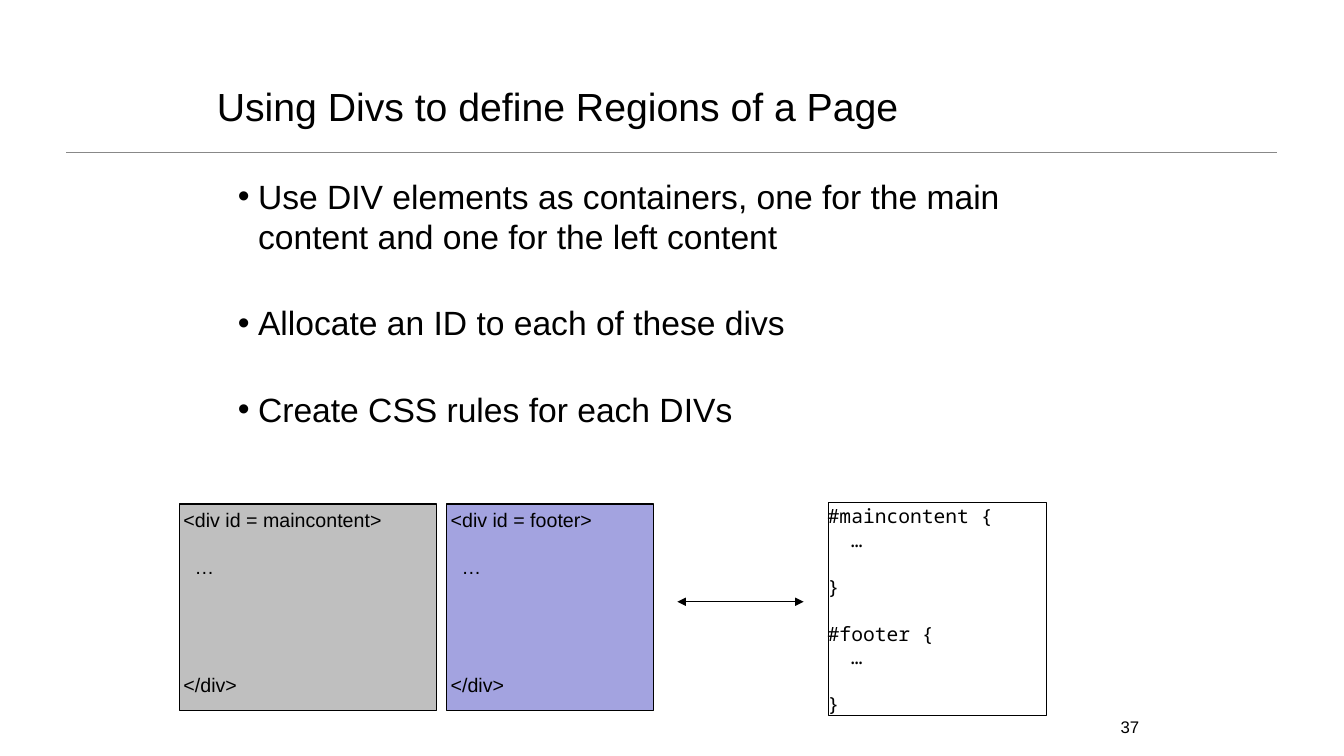
from dataclasses import dataclass

from lxml import etree
from pptx import Presentation
from pptx.dml.color import RGBColor
from pptx.enum import shapes, text
from pptx.oxml import ns
from pptx.util import Inches, Pt

WIDTH, HEIGHT = Inches(13.33), Inches(7.5)


@dataclass(frozen=True)
class Theme:
    ink: str = "000000"
    rule: str = "888888"
    grey: str = "BFBFBF"
    violet: str = "A3A3E0"
    paper: str = "FFFFFF"
    sans: str = "Arial"
    mono: str = "Noto Sans Mono"
    title: int = 28
    body: int = 24
    code: int = 14
    number: int = 12
    leading: float = 1.2  # line pitch as a multiple of the type size
    inset: float = 0.04


THEME = Theme()


def across(percent):
    return int(WIDTH * percent / 100)


def down(percent):
    return int(HEIGHT * percent / 100)


def area(left, top, width, height):
    """Turn percentages of the slide into a frame."""
    return across(left), down(top), across(width), down(height)


def place(shape, frame):
    shape.left, shape.top, shape.width, shape.height = frame


def set_frame(frame, inset=THEME.inset, anchor=text.MSO_ANCHOR.TOP, wrap=True):
    frame.margin_left = frame.margin_right = Inches(inset)
    frame.margin_top = frame.margin_bottom = Inches(inset)
    frame.vertical_anchor = anchor
    frame.word_wrap = wrap
    frame.auto_size = text.MSO_AUTO_SIZE.NONE


def write_lines(frame, lines, size, face=THEME.sans, align=text.PP_ALIGN.LEFT):
    """Write one paragraph per line and return the paragraphs."""
    frame.text = "\n".join(lines)
    for para in frame.paragraphs:
        para.alignment = align
        para.line_spacing = Pt(round(size * THEME.leading, 1))
        para.space_before = para.space_after = Pt(0)
        para.font.size = Pt(size)
        para.font.name = face
        para.font.color.rgb = RGBColor.from_string(THEME.ink)
    return frame.paragraphs


def write_code(frame, rows, face, indent):
    """Each row is (words, lines skipped above, indented or not)."""
    paras = write_lines(frame, [row[0] for row in rows], THEME.code, face)
    for para, (_, skipped, indented) in zip(paras, rows):
        para.space_before = Pt(round(skipped * THEME.code * THEME.leading, 1))
        if indented:
            para._p.get_or_add_pPr().set("marL", str(Inches(indent)))


def add_panel(parent, frame, fill, weight):
    panel = parent.add_shape(shapes.MSO_SHAPE.RECTANGLE, *frame)
    panel.shadow.inherit = False
    panel.fill.solid()
    panel.fill.fore_color.rgb = RGBColor.from_string(fill)
    panel.line.color.rgb = RGBColor.from_string(THEME.ink)
    panel.line.width = Pt(weight)
    return panel


def add_div(page, frame, name, fill):
    """A coloured region with its opening and closing tags."""
    group = page.shapes.add_group_shape()
    add_panel(group.shapes, frame, fill, 1)
    box = group.shapes.add_textbox(*frame)
    set_frame(box.text_frame)
    rows = [(f"<div id = {name}>", 0, False), ("…", 1, True), ("</div>", 4, False)]
    write_code(box.text_frame, rows, THEME.sans, 0.11)


def add_line(page, start, end, colour, weight, arrows=False):
    line = page.shapes.add_connector(
        shapes.MSO_CONNECTOR.STRAIGHT,
        across(start[0]), down(start[1]), across(end[0]), down(end[1]))
    line.line.color.rgb = RGBColor.from_string(colour)
    line.line.width = Pt(weight)
    if arrows:
        outline = line.line._get_or_add_ln()
        for tip in ("a:headEnd", "a:tailEnd"):
            etree.SubElement(outline, ns.qn(tip), type="triangle")
    etree.SubElement(line._element.spPr, ns.qn("a:effectLst"))


def fill_title(page, words):
    title = page.shapes.title
    place(title, area(15.83, 3.33, 68.42, 14.27))
    set_frame(title.text_frame, anchor=text.MSO_ANCHOR.BOTTOM)
    write_lines(title.text_frame, [words], THEME.title)


def fill_bullets(page, items):
    body = page.placeholders[1]
    place(body, area(17.4, 22.67, 65.94, 38.93))
    set_frame(body.text_frame)
    for para in write_lines(body.text_frame, items, THEME.body):
        para.space_before = Pt(33)
        properties = para._p.get_or_add_pPr()
        properties.set("marL", str(Inches(0.2)))
        properties.set("indent", str(Inches(-0.2)))
        etree.SubElement(properties, ns.qn("a:buFont"), typeface=THEME.sans)
        etree.SubElement(properties, ns.qn("a:buChar"), char="•")
        # Bullet marks come before the default run format
        properties.append(properties.find(ns.qn("a:defRPr")))


def add_rules(page, names):
    """The style sheet with one empty rule per region."""
    panel = add_panel(page.shapes, area(61.59, 66.4, 16.28, 28.27), THEME.paper, 0.25)
    set_frame(panel.text_frame, inset=0, anchor=text.MSO_ANCHOR.BOTTOM)
    rows = []
    for index, name in enumerate(names):
        rows += [(f"#{name} {{", min(index, 1), False), ("…", 0, True), ("}", 1, False)]
    write_code(panel.text_frame, rows, THEME.mono, 0.23)


def add_number(page, number):
    box = page.shapes.add_textbox(*area(83.12, 94.27, 1.95, 3.6))
    set_frame(box.text_frame, wrap=False)
    write_lines(box.text_frame, [number], THEME.number, align=text.PP_ALIGN.RIGHT)


def main():
    deck = Presentation()
    deck.slide_width, deck.slide_height = WIDTH, HEIGHT
    page = deck.slides.add_slide(deck.slide_layouts[1])

    # Heading and list
    fill_title(page, "Using Divs to define Regions of a Page")
    add_line(page, (4.95, 20.13), (95.05, 20.13), THEME.rule, 0.25)
    fill_bullets(page, [
        "Use DIV elements as containers, one for the main content "
        "and one for the left content",
        "Allocate an ID to each of these divs",
        "Create CSS rules for each DIVs",
    ])

    # Regions and the rules that style them
    add_div(page, area(33.23, 66.67, 15.38, 27.33), "footer", THEME.violet)
    add_div(page, area(13.35, 66.67, 19.13, 27.33), "maincontent", THEME.grey)
    add_rules(page, ["maincontent", "footer"])
    add_line(page, (50.41, 79.6), (59.79, 79.6), THEME.ink, 1, arrows=True)

    add_number(page, "37")
    deck.save("out.pptx")


if __name__ == "__main__":
    main()
